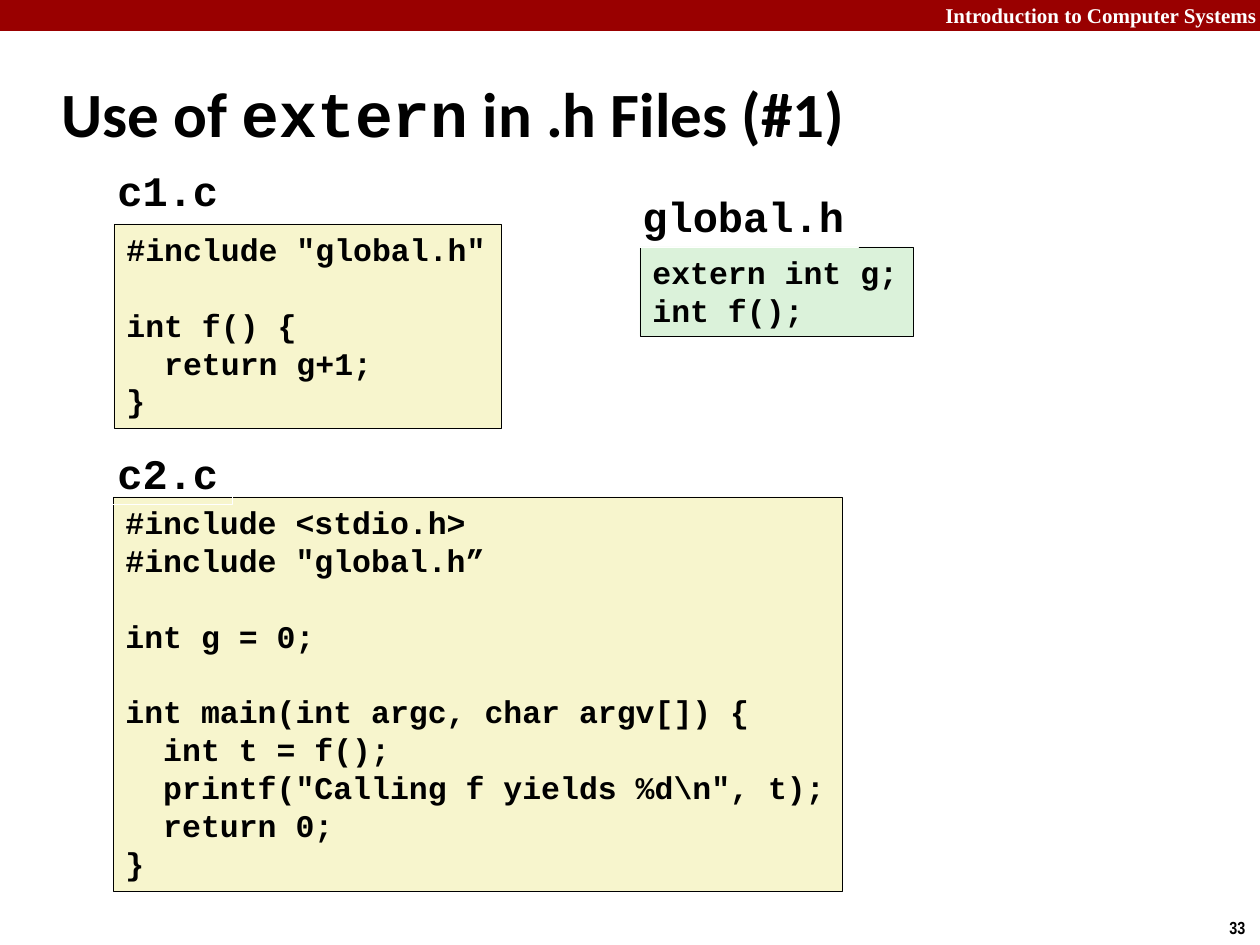
import pptx
import pptx.util
import pptx.dml.color
import pptx.enum.shapes
import pptx.enum.text

PX = 914400 // 126  # EMU per px
WIDTH, HEIGHT = 1260, 945
BLACK, WHITE, RED = "000000", "FFFFFF", "990000"
CREAM, MINT = "F7F5CD", "DBF2DA"
CODE_FONT = "Courier New"
CODE_LINE = 21.65  # height of one code line, points

TITLE = [("Use of ", "Calibri"), ("extern", CODE_FONT), (" in .h Files (#1)", "Calibri")]

# name, name box, code box, code fill, code lines
FILES = [
    ("c1.c", (105, 158, 127, 63), (114, 224, 387, 204), CREAM, [
        '#include "global.h"',
        "",
        "int f() {",
        "  return g+1;",
        "}",
    ]),
    ("global.h", (630, 184, 228, 63), (640, 247, 273, 89), MINT, [
        "extern int g;",
        "int f();",
    ]),
    ("c2.c", (105, 441, 127, 63), (113, 497, 729, 394), CREAM, [
        "#include <stdio.h>",
        '#include "global.h”',
        "",
        "int g = 0;",
        "",
        "int main(int argc, char argv[]) {",
        "  int t = f();",
        '  printf("Calling f yields %d\\n", t);',
        "  return 0;",
        "}",
    ]),
]


def rgb(value):
    return pptx.dml.color.RGBColor.from_string(value)


def emu(box):
    return [length * PX for length in box]


def add_rect(box, fill=None, line=None):
    rect = slide.shapes.add_shape(pptx.enum.shapes.MSO_SHAPE.RECTANGLE, *emu(box))
    rect.shadow.inherit = False
    if fill:
        rect.fill.solid()
        rect.fill.fore_color.rgb = rgb(fill)
    else:
        rect.fill.background()
    if line:
        rect.line.color.rgb = rgb(line)
        rect.line.width = pptx.util.Pt(0.25)
    else:
        rect.line.fill.background()
    return rect


def set_frame(shape, wrap, anchor="TOP", grow=True):
    frame = shape.text_frame
    frame.word_wrap = wrap
    frame.vertical_anchor = pptx.enum.text.MSO_ANCHOR[anchor]
    if grow:
        frame.auto_size = pptx.enum.text.MSO_AUTO_SIZE.SHAPE_TO_FIT_TEXT
    return frame


def add_run(paragraph, text, size, font, color=BLACK):
    run = paragraph.add_run()
    run.text = text
    run.font.size = pptx.util.Pt(size)
    run.font.name = font
    run.font.bold = True
    run.font.color.rgb = rgb(color)


def write_lines(frame, lines, size):
    """Write code lines; an empty line becomes space before the next one."""
    gap = 0
    for number, line in enumerate(lines):
        if not line:
            gap += CODE_LINE
            continue
        paragraph = frame.paragraphs[0] if number == 0 else frame.add_paragraph()
        paragraph.alignment = pptx.enum.text.PP_ALIGN.LEFT
        if gap:
            paragraph.space_before = pptx.util.Pt(gap)
            gap = 0
        add_run(paragraph, line, size, CODE_FONT)


deck = pptx.Presentation()
deck.slide_width, deck.slide_height = emu((WIDTH, HEIGHT))
slide = deck.slides.add_slide(deck.slide_layouts[6])

# Course banner
add_rect((0, 0, WIDTH, 31), RED)
course = set_frame(slide.shapes.add_textbox(*emu((756, -4, 513, 38))), True).paragraphs[0]
course.alignment = pptx.enum.text.PP_ALIGN.RIGHT
add_run(course, "Introduction to Computer Systems", 12, "Times New Roman", WHITE)

# Page number
page = set_frame(slide.shapes.add_textbox(*emu((1217, 911, 43, 34))), False).paragraphs[0]
add_run(page, "33", 10, "Arial Narrow")

# Title
title_box = slide.shapes.add_textbox(*emu((49, 60, 1046, 105)))
title = set_frame(title_box, True, "MIDDLE", grow=False).paragraphs[0]
for text, font in TITLE:
    add_run(title, text, 36, font)

# Source files: code box, then its file name
for name, name_box, code_box, fill, code in FILES:
    write_lines(set_frame(add_rect(code_box, fill, BLACK), False), code, 18)
    write_lines(set_frame(add_rect(name_box, line=WHITE), False), [name], 24)

deck.save("out.pptx")
